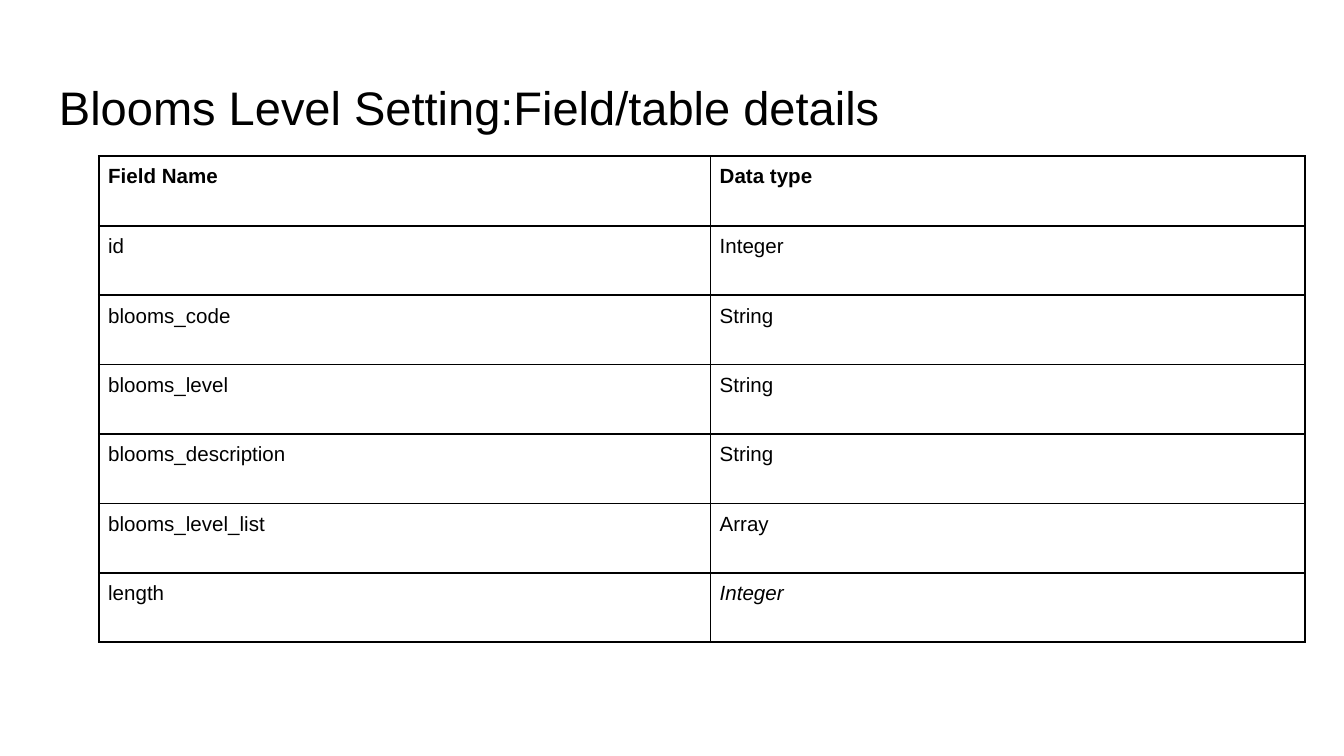
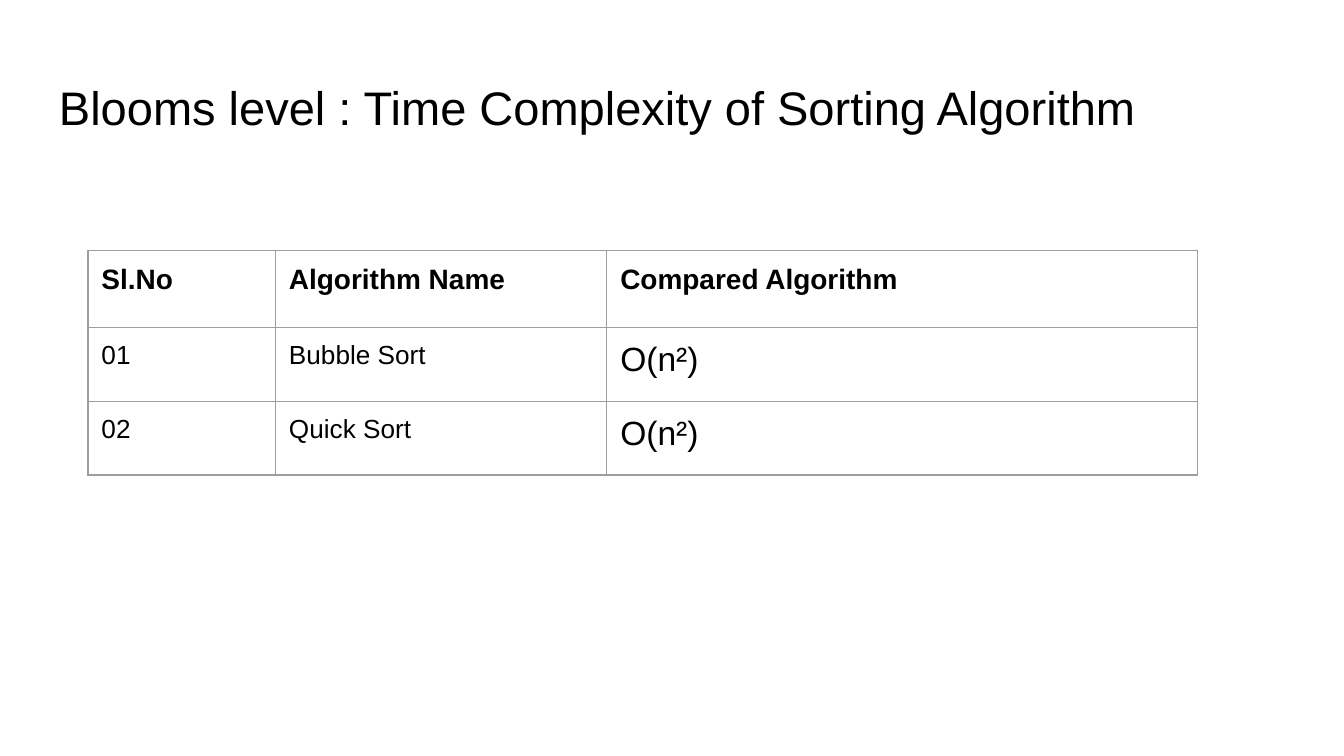
"""Build two slides of field and algorithm tables."""
from dataclasses import dataclass

from lxml import etree
from pptx import Presentation
from pptx import util as u
from pptx.dml.color import RGBColor
from pptx.enum import text
from pptx.oxml.ns import qn


@dataclass(frozen=True)
class Theme:
    font: str = "Arial"
    ink: str = "000000"
    gray: str = "9E9E9E"
    title: float = 25.2
    field: float = 11
    header: float = 15
    body: float = 14
    formula: float = 18


T = Theme()
PX = 4572
MARGINS = ("margin_left", "margin_top", "margin_right", "margin_bottom")


def write(frame, words, **fmt):
    p = frame.paragraphs[0]
    p.alignment = text.PP_ALIGN.LEFT
    r = p.add_run()
    r.text = words
    r.font.color.rgb = RGBColor.from_string(T.ink)
    for name, value in {"name": T.font, "bold": False, **fmt}.items():
        setattr(r.font, name, value)


def set_borders(cell, color, width):
    tc_pr = cell._tc.get_or_add_tcPr()
    for side in ("lnL", "lnR", "lnT", "lnB"):
        ln = etree.SubElement(tc_pr, qn(f"a:{side}"), w=str(u.Pt(width)))
        fill = etree.SubElement(ln, qn("a:solidFill"))
        etree.SubElement(fill, qn("a:srgbClr"), val=color)


pages = [
    {
        "title": "Blooms Level Setting:Field/table details",
        "at": (147, 232), "height": 724, "head": 104, "cols": (910, 885),
        "inset": 14, "border": (T.ink, 1),
        "head_size": T.field, "sizes": (T.field, T.field),
        "italic": {(6, 1)},
        "rows": [
            ("Field Name", "Data type"),
            ("id", "Integer"),
            ("blooms_code", "String"),
            ("blooms_level", "String"),
            ("blooms_description", "String"),
            ("blooms_level_list", "Array"),
            ("length", "Integer"),
        ],
    },
    {
        "title": "Blooms level : Time Complexity of Sorting Algorithm",
        "at": (131, 373), "height": 334, "head": 114, "cols": (279, 493, 879),
        "inset": 20, "border": (T.gray, 0.75),
        "head_size": T.header, "sizes": (T.body, T.body, T.formula),
        "italic": set(),
        "rows": [
            ("Sl.No", "Algorithm Name", "Compared Algorithm"),
            ("01", "Bubble Sort", "O(n²)"),
            ("02", "Quick Sort", "O(n²)"),
        ],
    },
]

prs = Presentation()
prs.slide_width, prs.slide_height = 2000 * PX, 1125 * PX

for page in pages:
    s = prs.slides.add_slide(prs.slide_layouts[6])
    tf = s.shapes.add_textbox(68 * PX, 97 * PX, 1864 * PX, 125 * PX).text_frame
    tf.word_wrap = True
    tf.vertical_anchor = text.MSO_ANCHOR.MIDDLE
    for margin in MARGINS:
        setattr(tf, margin, 20 * PX)
    write(tf, page["title"], size=u.Pt(T.title))

    rows, cols = page["rows"], page["cols"]
    x, y = page["at"]
    table = s.shapes.add_table(len(rows), len(cols), x * PX, y * PX,
                               sum(cols) * PX, page["height"] * PX).table
    table.first_row = table.horz_banding = False
    for col, width in zip(table.columns, cols):
        col.width = width * PX
    body_height = (page["height"] - page["head"]) * PX // (len(rows) - 1)
    for i, row in enumerate(rows):
        is_head = i == 0
        table.rows[i].height = page["head"] * PX if is_head else body_height
        for j, words in enumerate(row):
            cell = table.cell(i, j)
            for margin in MARGINS:
                setattr(cell, margin, page["inset"] * PX)
            cell.vertical_anchor = text.MSO_ANCHOR.TOP
            set_borders(cell, *page["border"])
            cell.fill.background()
            size = page["head_size"] if is_head else page["sizes"][j]
            write(cell.text_frame, words, size=u.Pt(size), bold=is_head,
                  italic=(i, j) in page["italic"])

prs.save("out.pptx")
